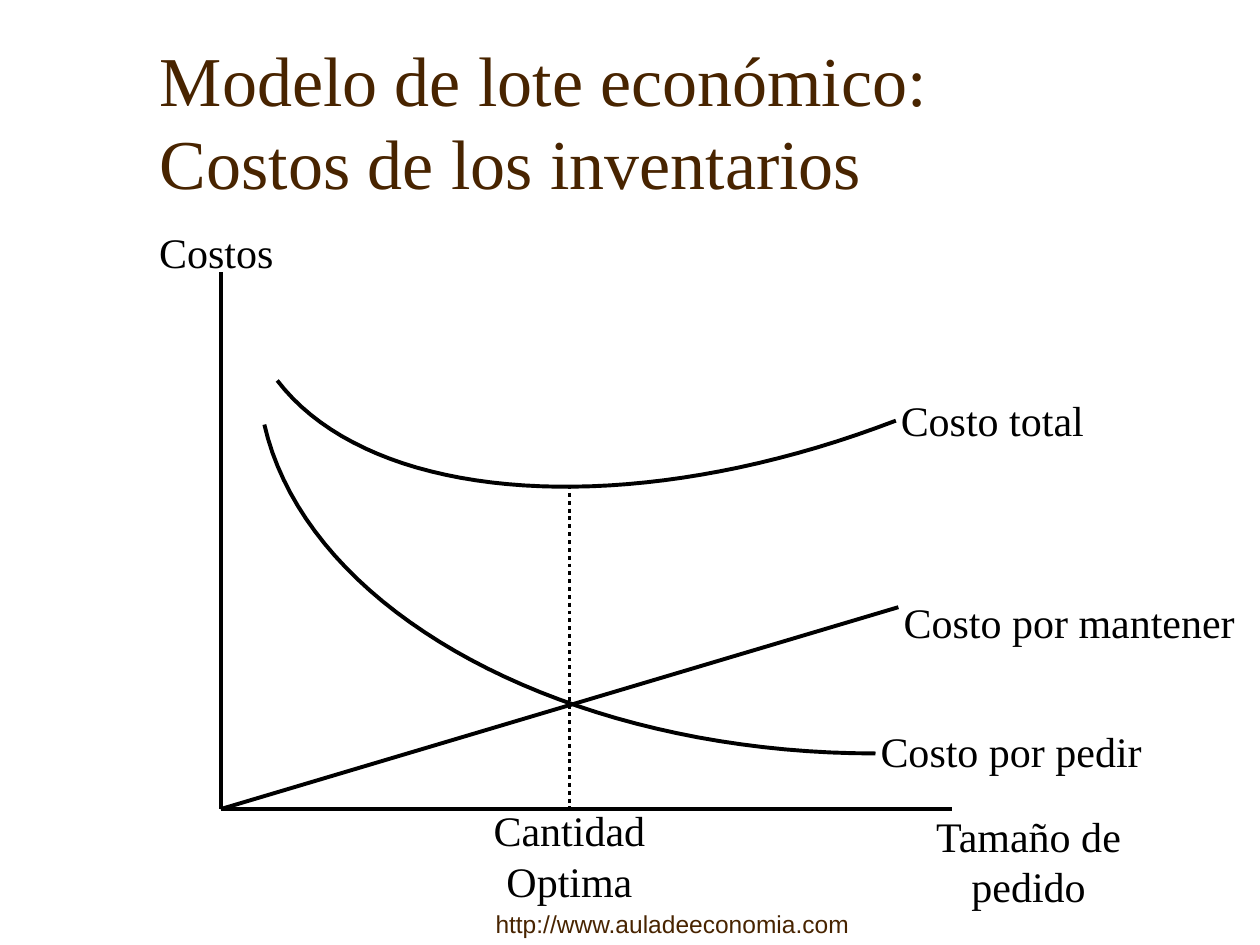
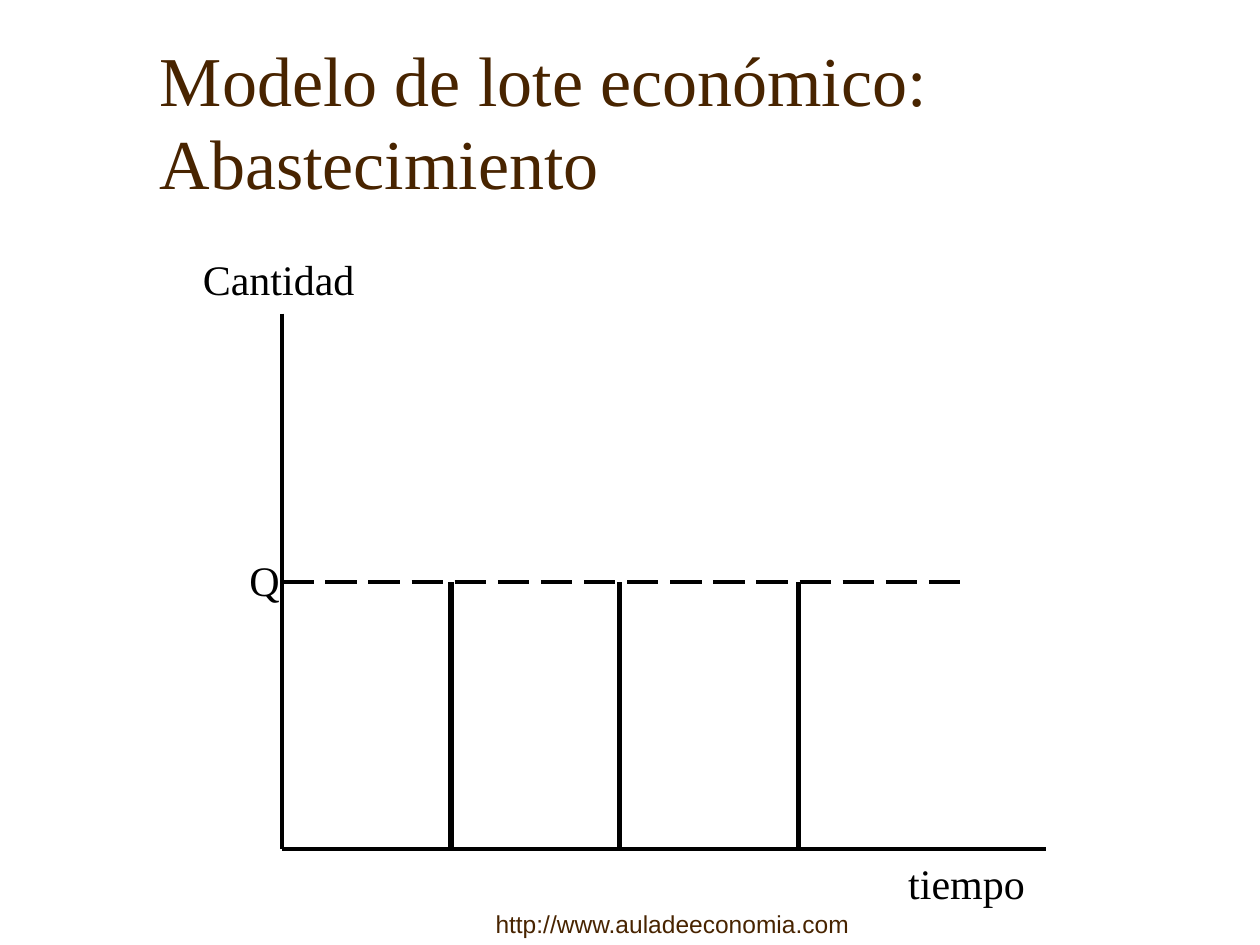
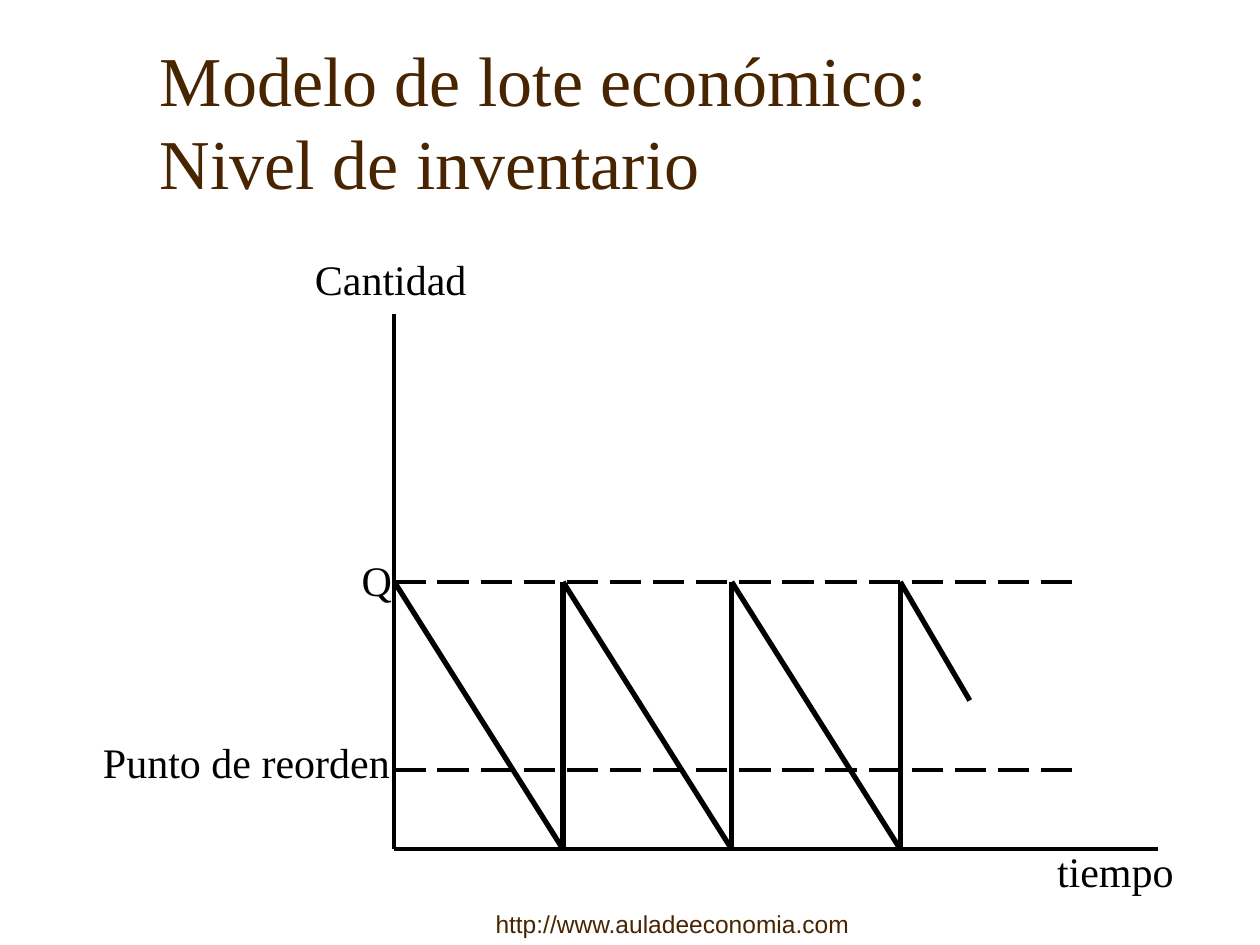
from lxml import etree
from pptx import Presentation
from pptx.dml.color import RGBColor
from pptx.enum import dml, text
from pptx.oxml.ns import qn
from pptx.util import Cm, Pt

BROWN, BLACK = "482400", "000000"
SERIF, SANS = "Times New Roman", "Arial"
THIN, THICK = 2.25, 3
LINE_HEIGHT, INSETS = 1.02, 0.25
LEFT, CENTER, RIGHT = text.PP_ALIGN.LEFT, text.PP_ALIGN.CENTER, text.PP_ALIGN.RIGHT
LONG_DASH, DOTS = dml.MSO_LINE.LONG_DASH, dml.MSO_LINE.ROUND_DOT

FOOTER = "http://www.auladeeconomia.com"
FOOTER_BOX = (9.53, 17.78, 8.05, 1.27)
TITLE_BOX = (2.97, 1.07, 21.59, 3.17)

# All positions are in centimetres.
COST_ORIGIN = (4.45, 16.31)
COST_AXIS_TOP, COST_AXIS_RIGHT = 5.49, 19.2
HOLDING_COST_END = (18.11, 12.24)
OPTIMUM_X, OPTIMUM_TOP = 11.48, 9.78
COST_CURVES = [  # cubic Bézier control points
    [(17.65, 15.19), (11.46, 15.19), (6.2, 12.37), (5.33, 8.56)],
    [(18.06, 8.48), (12.75, 10.52), (7.52, 10.19), (5.59, 7.67)],
]
COST_LABELS = [  # lines, left, top, width
    (["Costos"], 2.85, 4.45, 3.02),
    (["Tamaño de", "pedido"], 18.49, 16.21, 4.49),
    (["Cantidad", "Optima"], 9.6, 16.1, 3.76),
    (["Costo por pedir"], 17.4, 14.5, 5.97),
    (["Costo por mantener"], 17.81, 11.91, 7.49),
    (["Costo total"], 17.81, 7.82, 4.39),
]

STOCK_TOP, STOCK_BASE, LOT_Y, REORDER_Y = 6.32, 17.12, 11.73, 15.52
TIME_AXIS, LEVEL_LENGTH, CYCLE = 15.4, 13.8, 3.4
LAST_DROP = (1.4, 2.39)


def color(hex_code):
    return RGBColor.from_string(hex_code)


def add_run(paragraph, content, size, font_name, hex_code):
    run = paragraph.add_run()
    run.text = content
    run.font.size, run.font.name = Pt(size), font_name
    run.font.color.rgb = color(hex_code)


def add_label(slide, lines, left, top, width, align=CENTER):
    height = LINE_HEIGHT * len(lines) + INSETS
    frame = slide.shapes.add_textbox(Cm(left), Cm(top), Cm(width), Cm(height)).text_frame
    frame.word_wrap = True
    frame.auto_size = text.MSO_AUTO_SIZE.SHAPE_TO_FIT_TEXT
    for index, line in enumerate(lines):
        paragraph = frame.add_paragraph() if index else frame.paragraphs[0]
        paragraph.alignment = align
        add_run(paragraph, line, 24, SERIF, BLACK)


def add_line(slide, start, end, width=THIN, dash=None):
    connector = slide.shapes.add_connector(1, *map(Cm, (*start, *end)))
    connector.line.color.rgb = color(BLACK)
    connector.line.width = Pt(width)
    if dash:
        connector.line.dash_style = dash
    etree.SubElement(connector._element.spPr, qn("a:effectLst"))


def add_curve(slide, controls, steps=40):
    """Draw an open cubic Bézier curve as short segments."""
    points = []
    for step in range(steps + 1):
        t = step / steps
        weights = ((1 - t) ** 3, 3 * t * (1 - t) ** 2, 3 * t * t * (1 - t), t ** 3)
        points.append(tuple(Cm(sum(w * p[axis] for w, p in zip(weights, controls)))
                            for axis in (0, 1)))
    builder = slide.shapes.build_freeform(*points[0])
    builder.add_line_segments(points[1:], close=False)
    shape = builder.convert_to_shape()
    shape.shadow.inherit = False
    shape.fill.background()
    shape.line.color.rgb = color(BLACK)
    shape.line.width = Pt(THIN)


def add_slide(presentation, title_lines):
    slide = presentation.slides.add_slide(presentation.slide_layouts[5])
    title = slide.shapes.title
    title.left, title.top, title.width, title.height = map(Cm, TITLE_BOX)
    frame = title.text_frame
    frame.word_wrap = True
    frame.auto_size = text.MSO_AUTO_SIZE.NONE
    frame.vertical_anchor = text.MSO_ANCHOR.BOTTOM
    paragraph = frame.paragraphs[0]
    paragraph.alignment = LEFT
    for index, line in enumerate(title_lines):
        if index:
            paragraph.add_line_break()
        add_run(paragraph, line, 40, SERIF, BROWN)

    frame = slide.shapes.add_textbox(*map(Cm, FOOTER_BOX)).text_frame
    frame.word_wrap = True
    frame.vertical_anchor = text.MSO_ANCHOR.BOTTOM
    frame.paragraphs[0].alignment = CENTER
    add_run(frame.paragraphs[0], FOOTER, 14, SANS, BROWN)
    return slide


def add_axes(slide, origin, top, right):
    add_line(slide, (origin[0], top), origin)
    add_line(slide, origin, (right, origin[1]))


def add_level(slide, left, y):
    add_line(slide, (left, y), (left + LEVEL_LENGTH, y), dash=LONG_DASH)


def add_stock_plot(slide, left, time_label, orders):
    """Draw the axes, the lot level Q and a vertical line for each order."""
    add_axes(slide, (left, STOCK_BASE), STOCK_TOP, left + TIME_AXIS)
    add_label(slide, ["tiempo"], *time_label, 3.2, LEFT)
    add_label(slide, ["Cantidad"], left - 1.85, 4.98, 3.8, LEFT)
    add_level(slide, left, LOT_Y)
    add_label(slide, ["Q"], left - 0.91, 11.05, 1.3, LEFT)
    for offset in orders:
        add_line(slide, (left + offset, STOCK_BASE), (left + offset, LOT_Y), THICK)


def build_costs(presentation):
    slide = add_slide(presentation, ["Modelo de lote económico:", "Costos de los inventarios"])
    add_axes(slide, COST_ORIGIN, COST_AXIS_TOP, COST_AXIS_RIGHT)
    add_line(slide, COST_ORIGIN, HOLDING_COST_END)
    for controls in COST_CURVES:
        add_curve(slide, controls)
    add_line(slide, (OPTIMUM_X, OPTIMUM_TOP), (OPTIMUM_X, COST_ORIGIN[1]), dash=DOTS)
    for label in COST_LABELS:
        add_label(slide, *label)


def build_supply(presentation):
    slide = add_slide(presentation, ["Modelo de lote económico: Abastecimiento"])
    add_stock_plot(slide, 5.69, (18.06, 17.17), (CYCLE, 2 * CYCLE, 10.41))


def build_inventory(presentation):
    slide = add_slide(presentation, ["Modelo de lote económico:", "Nivel de inventario"])
    left = 7.95
    cycles = [CYCLE * index for index in range(4)]
    add_stock_plot(slide, left, (21.06, 16.92), cycles[1:])
    for offset in cycles[:-1]:
        add_line(slide, (left + offset, LOT_Y), (left + offset + CYCLE, STOCK_BASE), THICK)
    last = left + cycles[-1]
    add_line(slide, (last, LOT_Y), (last + LAST_DROP[0], LOT_Y + LAST_DROP[1]), THICK)
    add_level(slide, left, REORDER_Y)
    add_label(slide, ["Punto de reorden"], 1.3, 14.73, 6.81, RIGHT)


def main():
    presentation = Presentation()
    presentation.slide_width, presentation.slide_height = Cm(25.4), Cm(19.05)
    build_costs(presentation)
    build_supply(presentation)
    build_inventory(presentation)
    presentation.save("out.pptx")


if __name__ == "__main__":
    main()
